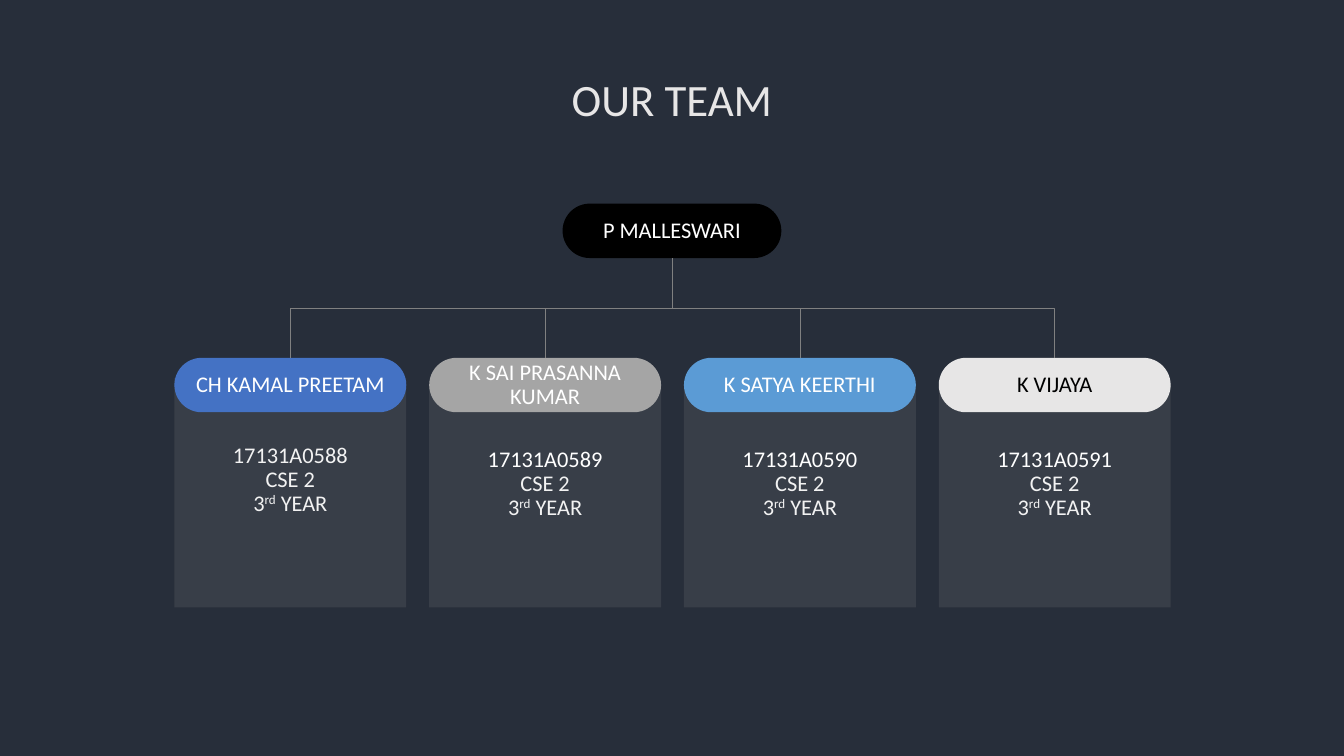
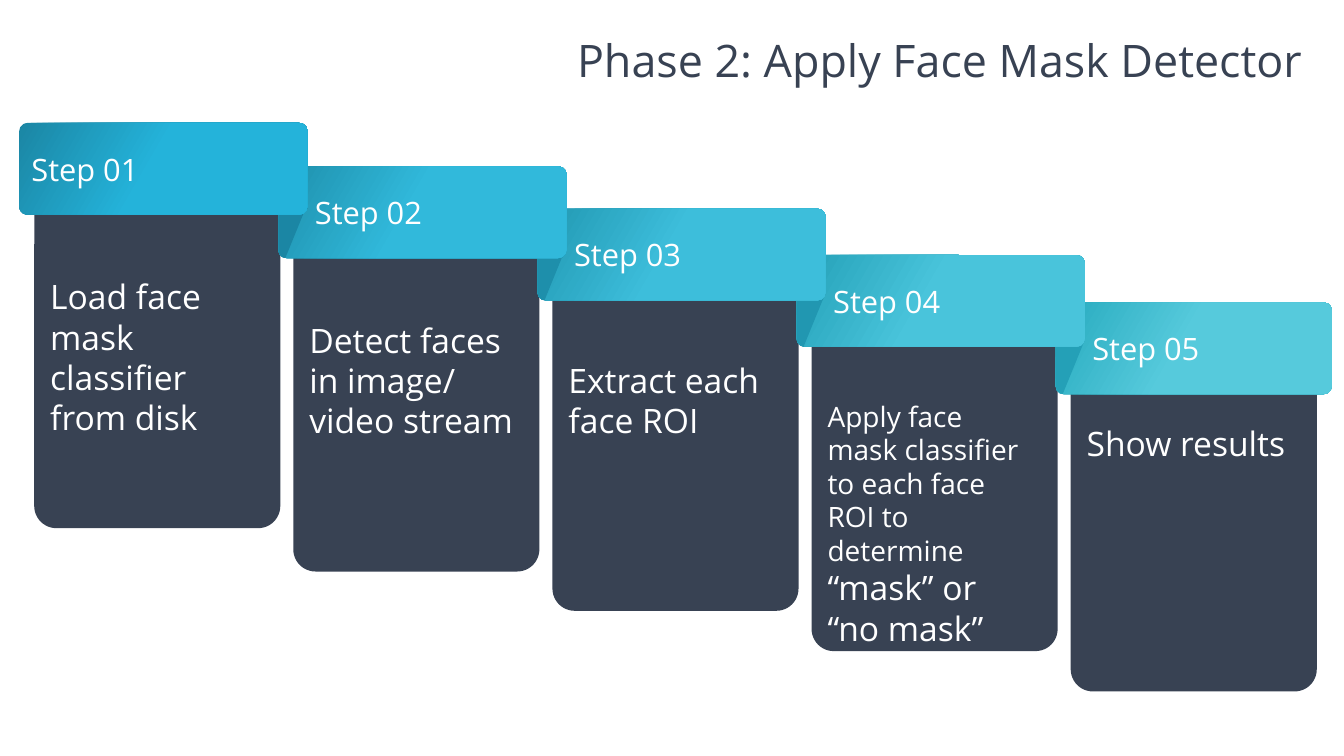
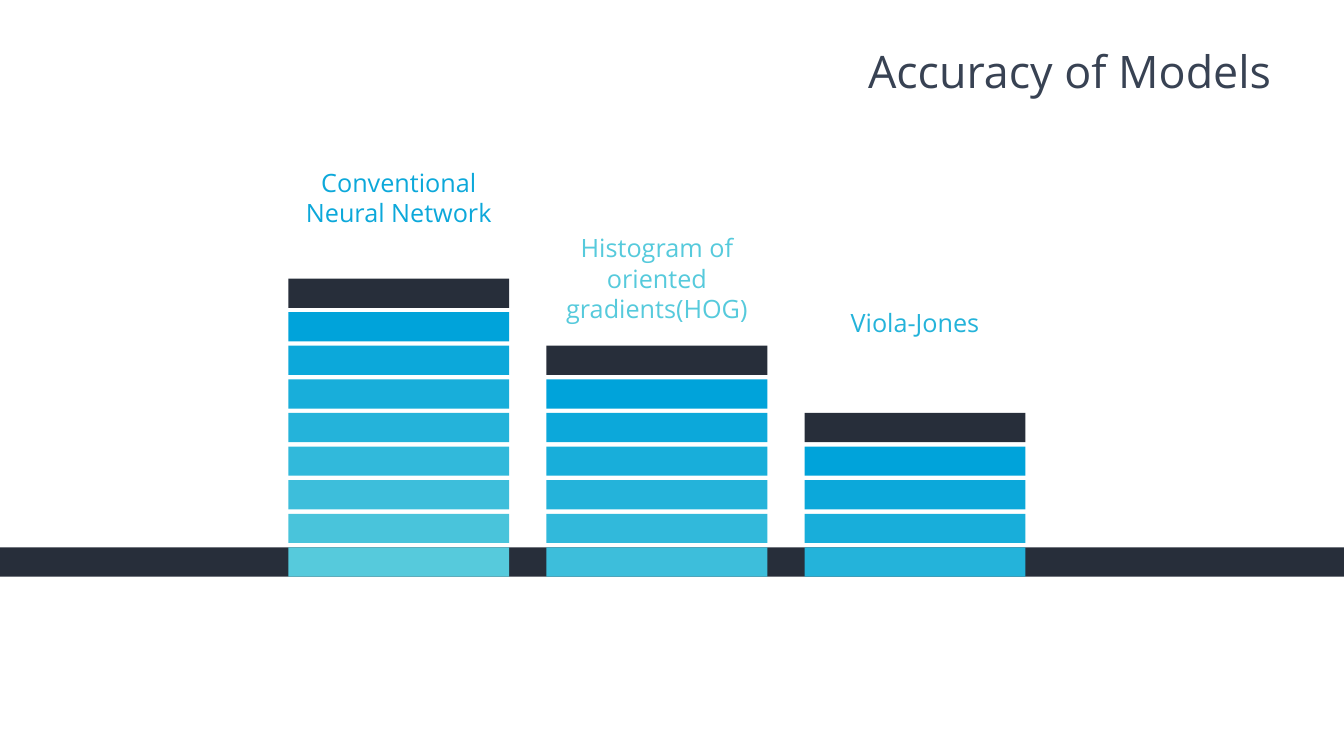
"""Build three slides: team chart, detector steps and model accuracy."""
from lxml import etree
from pptx import Presentation, util as u
from pptx.dml.color import RGBColor
from pptx.enum import shapes, text
from pptx.oxml.ns import qn

WHITE = RGBColor(0xFF, 0xFF, 0xFF)
BLACK = RGBColor(0x00, 0x00, 0x00)
NIGHT = RGBColor(0x27, 0x2E, 0x3A)
SLATE = RGBColor(0x38, 0x42, 0x53)
GREY = RGBColor(0x80, 0x80, 0x80)
SILVER = RGBColor(0xA5, 0xA5, 0xA5)
PEARL = RGBColor(0xE7, 0xE6, 0xE6)
PALE = RGBColor(0xF2, 0xF2, 0xF2)
ROYAL = RGBColor(0x44, 0x72, 0xC4)
SKY = RGBColor(0x5B, 0x9B, 0xD5)
BLUES = [RGBColor.from_string(c) for c in (
    "00A3DA", "0CA8DA", "18AEDA", "24B3DA", "31B9DB", "3DBEDB", "49C4DB", "56CADC")]
SHADES = [RGBColor.from_string(c) for c in (
    "1B86A4", "1E8FAB", "2197B1", "24A0B7", "27AABE")]

RECT = shapes.MSO_SHAPE.RECTANGLE
ROUND = shapes.MSO_SHAPE.ROUNDED_RECTANGLE
LEFT, CENTER, RIGHT = text.PP_ALIGN.LEFT, text.PP_ALIGN.CENTER, text.PP_ALIGN.RIGHT

prs = Presentation()
prs.slide_width, prs.slide_height = u.Inches(13.33), u.Inches(7.5)
CELL = prs.slide_height / 75


def box(sl, x, y, w, h, kind=None, fill=None, adj=None, inset=(1, 0.5, 1, 0.5)):
    """Add a shape, or a text box when no kind is given, measured in grid cells."""
    at = [int(v * CELL) for v in (x, y, w, h)]
    sp = sl.shapes.add_shape(kind, *at) if kind else sl.shapes.add_textbox(*at)
    tf = sp.text_frame
    tf.word_wrap = True
    tf.margin_left, tf.margin_top, tf.margin_right, tf.margin_bottom = [
        int(v * CELL) for v in inset]
    if kind:
        sp.shadow.inherit = False
        sp.line.fill.background()
        tf.vertical_anchor = text.MSO_ANCHOR.MIDDLE
    if fill is not None:
        sp.fill.solid()
        sp.fill.fore_color.rgb = fill
    if adj:
        sp.adjustments[0] = adj
    return sp


def write(p, words, size=16, color=WHITE, font="Open Sans", align=LEFT, spacing=1.0, raised=0):
    """Add a run of text to a paragraph and format both."""
    p.alignment, p.line_spacing = align, spacing
    r = p.add_run()
    r.text = words
    r.font.size, r.font.name, r.font.color.rgb = u.Pt(size), font, color
    if raised:
        r.font._element.set("baseline", str(raised * 1000))


slides = []
for title, back, color, font, align, at in (
        ("OUR TEAM", NIGHT, PEARL, "Calibri", CENTER, (28.9, 7.2, 75.5, 7.5)),
        ("Phase 2: Apply Face Mask Detector", WHITE, SLATE, "Open Sans", RIGHT,
         (45.4, 3.4, 84.8, 8.9)),
        ("Accuracy of Models", WHITE, SLATE, "Open Sans", RIGHT, (57.9, 4.4, 69.2, 8.2))):
    sl = prs.slides.add_slide(prs.slide_layouts[6])
    sl.background.fill.solid()
    sl.background.fill.fore_color.rgb = back
    write(box(sl, *at).text_frame.paragraphs[0], title, size=32, color=color, font=font,
          align=align, spacing=0.9)
    slides.append(sl)
team, steps, models = slides

LEAD_X, LEAD_Y, LEAD_W, PILL_H = 55.8, 20.2, 21.7, 5.4
PILL_Y, PILL_W, PILL_STEP = 35.5, 23, 25.27
members = [
    ("CH KAMAL PREETAM", "17131A0588", ROYAL, WHITE, PALE, 37.5),
    ("K SAI PRASANNA KUMAR", "17131A0589", SILVER, WHITE, WHITE, 38.3),
    ("K SATYA KEERTHI", "17131A0590", SKY, WHITE, WHITE, 38.3),
    ("K VIJAYA", "17131A0591", PEARL, BLACK, WHITE, 38.3),
]
pills = [("P MALLESWARI", LEAD_X, LEAD_Y, LEAD_W, BLACK, WHITE)]
for i, (name, number, fill, ink, number_ink, top) in enumerate(members):
    x = 17.3 + PILL_STEP * i
    pills.append((name, x, PILL_Y, PILL_W, fill, ink))
    sp = box(team, x, top, PILL_W, 60.25 - top, RECT, GREY, inset=(1, 1, 1, 3.4))
    clr = sp.fill._xPr.find(qn("a:solidFill"))[0]
    etree.SubElement(clr, qn("a:alpha")).set("val", "20000")
    tf = sp.text_frame
    fmt = dict(color=PALE, font="Calibri", align=CENTER, spacing=0.89)
    write(tf.paragraphs[0], number, **{**fmt, "color": number_ink})
    write(tf.add_paragraph(), "CSE 2", **fmt)
    p = tf.add_paragraph()
    for words, raised in (("3", 0), ("rd", 30), (" YEAR", 0)):
        write(p, words, raised=raised, **fmt)

for name, x, y, w, fill, ink in pills:
    sp = box(team, x, y, w, PILL_H, ROUND, fill, adj=0.5, inset=(0.3,) * 4)
    write(sp.text_frame.paragraphs[0], name, color=ink, font="Calibri", align=CENTER, spacing=0.9)

lead_mid, lead_bottom = LEAD_X + LEAD_W / 2, LEAD_Y + PILL_H
for name, x, y, w, fill, ink in pills[1:]:
    dx, dy = x + w / 2 - lead_mid, y - lead_bottom
    side = 1 if dx > 0 else -1
    cx, cy = lead_mid + dx / 2, lead_bottom + dy / 2
    ends = (cx + side * dy / 2, cy - abs(dx) / 2, cx - side * dy / 2, cy + abs(dx) / 2)
    c = team.shapes.add_connector(shapes.MSO_CONNECTOR.ELBOW, *[int(v * CELL) for v in ends])
    c.line.color.rgb, c.line.width = GREY, u.Pt(0.5)
    spPr = c._element.spPr
    spPr.find(qn("a:xfrm")).set("rot", str((180 + 90 * side) * 60000))
    etree.SubElement(spPr, qn("a:effectLst"))

STEP_W, BAND_H = 25.7, 9.1
tasks = [
    (12.2, 16.4, 10.5, [("Load face mask classifier from disk", 24)]),
    (16.5, 20.7, 10.5, [("Detect faces in image/ video stream", 24)]),
    (20.7, 24.6, 10.6, [("Extract each face ROI", 24)]),
    (25.3, 28.6, 10.5, [("Apply face mask classifier to each face ROI to determine ", 20),
                        ("“mask” or “no mask”", 24)]),
    (30, 32.6, 8.9, [("Show results", 24)]),
]
for i, (band_y, body_y, drop, runs) in enumerate(tasks):
    x = 3.4 + STEP_W * i
    box(steps, x, body_y, 24.4, 36, ROUND, SLATE, adj=0.09)
    p = box(steps, x + 0.6, body_y + drop, 22.6, 36 - drop).text_frame.paragraphs[0]
    for words, size in runs:
        write(p, words, size=size)

FOLD = [(2.9, 2.2), (2.9, 3.7), (0.7, 9.1), (0.4, 9), (0.1, 8.7), (0, 8.3), (0, 2.2)]
for i, (band_y, *_) in reversed(list(enumerate(tasks))):
    x = 1.9 + STEP_W * i
    sp = box(steps, x, band_y, 27.4 if i == 4 else 28.6, BAND_H, ROUND, adj=0.09,
             inset=(3.4 if i else 1, 0.5, 1, 0.5))
    sp.fill.gradient()
    sp.fill.gradient_angle = 330
    for stop, color, position in zip(sp.fill.gradient_stops, (SHADES[i], BLUES[3 + i]), (0, 0.46)):
        stop.color.rgb, stop.position = color, position
    write(sp.text_frame.paragraphs[0], f"Step 0{i + 1}", size=22)
    if i:
        points = [(int((x + px) * CELL), int((band_y + py) * CELL)) for px, py in FOLD]
        outline = steps.shapes.build_freeform(*points[0])
        outline.add_line_segments(points[1:])
        sp = outline.convert_to_shape()
        sp.shadow.inherit = False
        sp.fill.solid()
        sp.fill.fore_color.rgb = SHADES[i - 1]
        sp.line.fill.background()

BASE_Y, BAR_W, BAR_H, BAR_STEP = 54.3, 21.9, 2.9, 10 / 3
box(models, 0, BASE_Y, 133.3, BAR_H, RECT, NIGHT)
for i, (name, count, ink, label_y, label_h) in enumerate((
        ("Conventional Neural Network", 8, BLUES[1], 16.1, 7.1),
        ("Histogram of oriented gradients(HOG)", 6, BLUES[7], 22.6, 10.1),
        ("Viola-Jones", 4, BLUES[3], 30, 4))):
    x = 28.6 + 25.6 * i
    for j, fill in enumerate([NIGHT] + BLUES[:count]):
        box(models, x, BASE_Y - BAR_STEP * (count - j), BAR_W, BAR_H, RECT, fill)
    label = box(models, x, label_y, BAR_W, label_h)
    write(label.text_frame.paragraphs[0], name, size=18, color=ink, align=CENTER)

prs.save("out.pptx")
